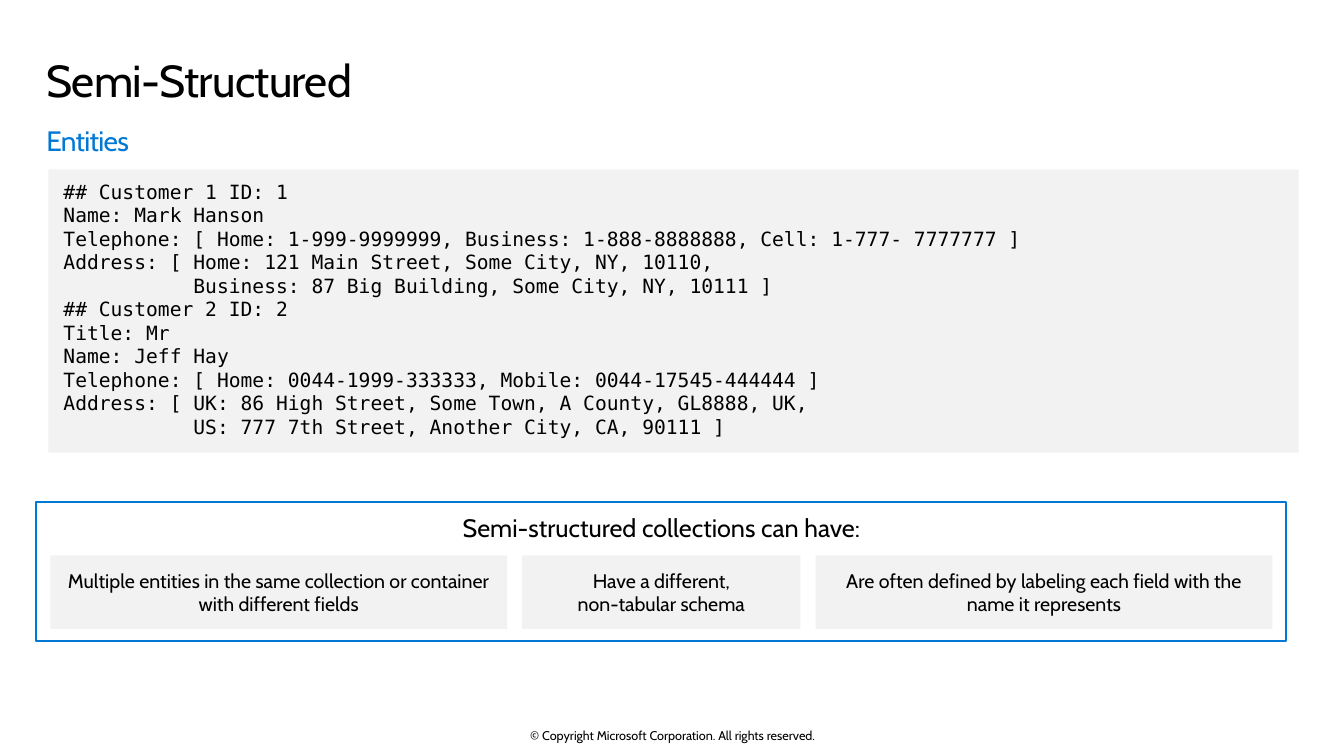
from pptx import Presentation
from pptx.dml.color import RGBColor
from pptx.enum.shapes import MSO_SHAPE
from pptx.enum.text import MSO_ANCHOR, MSO_AUTO_SIZE, PP_ALIGN
from pptx.util import Inches, Pt

BLACK = RGBColor(0x00, 0x00, 0x00)
BLUE = RGBColor(0x00, 0x78, 0xD4)
GRAY = RGBColor(0xF2, 0xF2, 0xF2)

SANS = "Cabin"
MONO = "DejaVu Sans Mono"

LEFT, CENTER = PP_ALIGN.LEFT, PP_ALIGN.CENTER
TOP, MIDDLE = MSO_ANCHOR.TOP, MSO_ANCHOR.MIDDLE
NO_AUTOFIT = MSO_AUTO_SIZE.NONE
RECTANGLE = MSO_SHAPE.RECTANGLE

PANEL_INSETS = (0.15, 0.1, 0.15, 0.1)
CARD_GAP = 0.15

ENTITIES = [
    "## Customer 1 ID: 1",
    "Name: Mark Hanson",
    "Telephone: [ Home: 1-999-9999999, Business: 1-888-8888888, Cell: 1-777- 7777777 ]",
    "Address: [ Home: 121 Main Street, Some City, NY, 10110,",
    "           Business: 87 Big Building, Some City, NY, 10111 ]",
    "## Customer 2 ID: 2",
    "Title: Mr",
    "Name: Jeff Hay",
    "Telephone: [ Home: 0044-1999-333333, Mobile: 0044-17545-444444 ]",
    "Address: [ UK: 86 High Street, Some Town, A County, GL8888, UK,",
    "           US: 777 7th Street, Another City, CA, 90111 ]",
]
# Text and width of each card
TRAITS = [
    ("Multiple entities in the same collection or container with different fields", 4.53),
    ("Have a different,\nnon-tabular schema", 2.76),
    ("Are often defined by labeling each field with the name it represents", 4.53),
]


def write(shape, lines, size, color=BLACK, font=SANS, align=LEFT, anchor=TOP,
          insets=(0, 0, 0, 0), tracking=None, **spacing):
    """Fill a shape with one paragraph per line; tracking is in hundredths of a point."""
    frame = shape.text_frame
    sides = ("margin_left", "margin_top", "margin_right", "margin_bottom")
    frame_format = dict(zip(sides, map(Inches, insets)))
    frame_format.update(word_wrap=True, auto_size=NO_AUTOFIT, vertical_anchor=anchor)
    for name, value in frame_format.items():
        setattr(frame, name, value)
    for index, line in enumerate(lines):
        paragraph = frame.paragraphs[0] if index == 0 else frame.add_paragraph()
        paragraph.text = line
        for name, value in {"alignment": align, **spacing}.items():
            setattr(paragraph, name, value)
        for run in paragraph.runs:
            for name, value in {"name": font, "size": Pt(size), "bold": False}.items():
                setattr(run.font, name, value)
            run.font.color.rgb = color
            if tracking is not None:
                run.font._element.set("spc", str(tracking))


def add_panel(slide, box, fill=None, line=None):
    panel = slide.shapes.add_shape(RECTANGLE, *map(Inches, box))
    panel.shadow.inherit = False
    if fill is None:
        panel.fill.background()
    else:
        panel.fill.solid()
        panel.fill.fore_color.rgb = fill
    if line is None:
        panel.line.fill.background()
    else:
        panel.line.color.rgb = line
        panel.line.width = Pt(1.5)
    return panel


def add_heading(slide, left, top, width):
    title = slide.shapes.title
    title.left, title.top = Inches(left), Inches(top)
    title.width, title.height = Inches(width), Inches(0.7)
    write(title, ["Semi-Structured"], 32, insets=(0, 0.1, 0.16, 0.1),
          tracking=-50, line_spacing=0.9)
    subtitle = slide.shapes.add_textbox(
        *map(Inches, (left, top + 0.7, width, 0.44)))
    write(subtitle, ["Entities"], 20, BLUE, insets=(0, 0.05, 0, 0.05), tracking=-50)


def add_entity_listing(slide, box):
    write(add_panel(slide, box, fill=GRAY), ENTITIES, 14, font=MONO, insets=PANEL_INSETS)


def add_traits(slide, box):
    left, top, _, _ = box
    write(add_panel(slide, box, line=BLUE), ["Semi-structured collections can have:"],
          18, align=CENTER, insets=PANEL_INSETS)
    card_left = left + 0.14
    for trait, width in TRAITS:
        card = add_panel(slide, (card_left, top + 0.53, width, 0.73), fill=GRAY)
        write(card, [trait], 14, align=CENTER, anchor=MIDDLE, insets=PANEL_INSETS)
        card_left += width + CARD_GAP


def add_copyright(slide, box):
    notice = slide.shapes.add_textbox(*map(Inches, box))
    write(notice, ["© Copyright Microsoft Corporation. All rights reserved."], 9,
          align=CENTER, anchor=MIDDLE)


def main():
    deck = Presentation()
    deck.slide_width, deck.slide_height = Inches(13.33), Inches(7.5)
    slide = deck.slides.add_slide(deck.slide_layouts[5])
    add_heading(slide, 0.46, 0.48, 12.4)
    add_entity_listing(slide, (0.48, 1.68, 12.4, 2.81))
    add_traits(slide, (0.36, 4.98, 12.4, 1.38))
    add_copyright(slide, (4.42, 7.22, 4.5, 0.15))
    deck.save("out.pptx")


if __name__ == "__main__":
    main()
